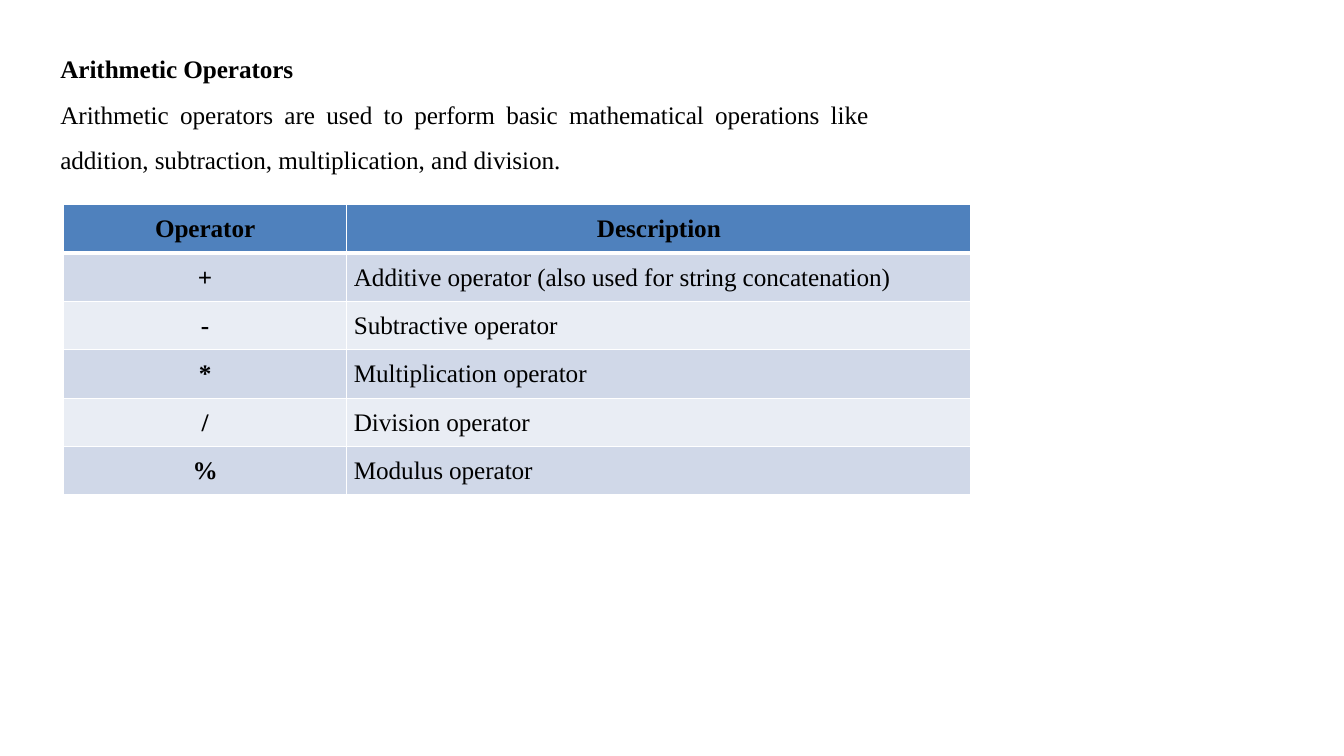
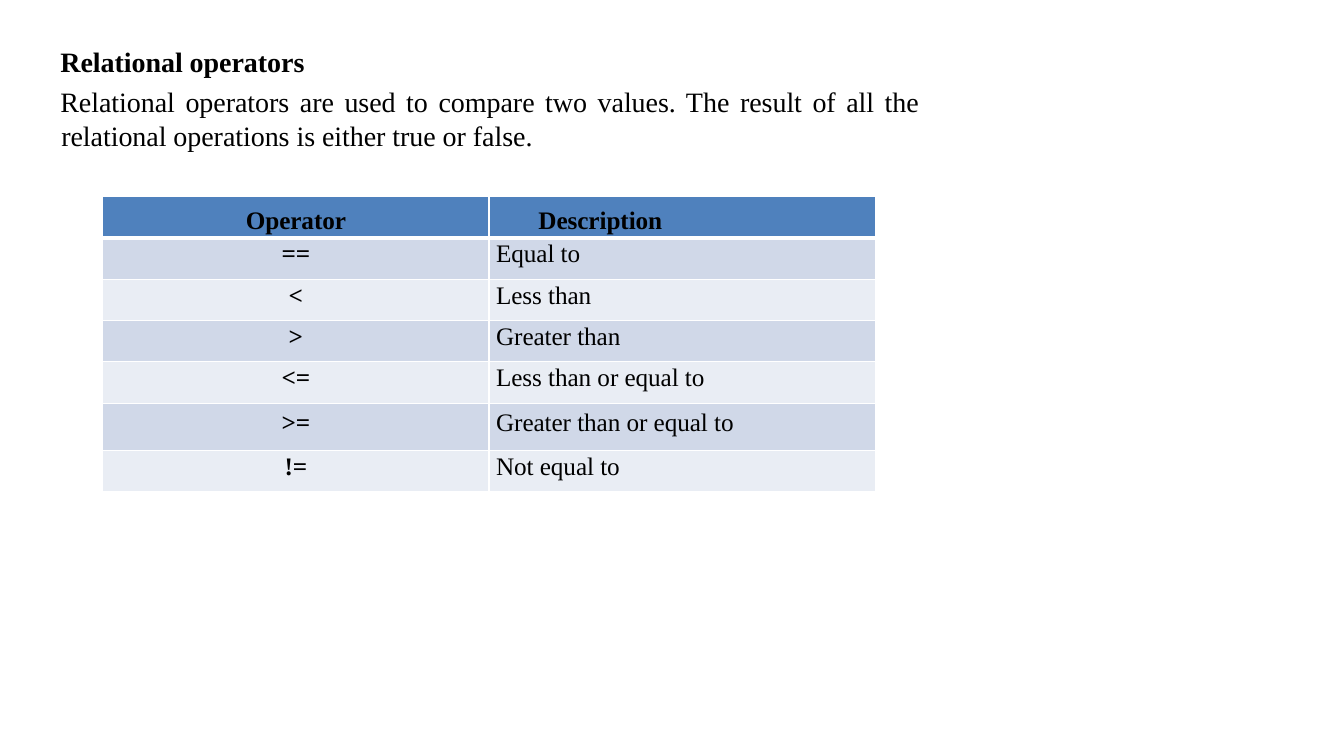
from dataclasses import dataclass

from lxml import etree
from pptx import Presentation
from pptx.dml.color import RGBColor
from pptx.enum import text
from pptx.oxml import ns
from pptx.util import Inches, Pt


@dataclass(frozen=True)
class Theme:
    font: str = "Times New Roman"
    ink: str = "000000"
    header: str = "4F81BD"
    bands: tuple = ("D0D8E8", "E9EDF4")
    border: str = "FFFFFF"
    cell_size: int = 18
    cell_leading: float = 13.8
    tracking: int = -5  # hundredths of a point
    thin: int = 1
    thick: int = 3


THEME = Theme()
CENTER, LEFT, JUSTIFY = (text.PP_ALIGN.CENTER, text.PP_ALIGN.LEFT,
                         text.PP_ALIGN.JUSTIFY)
HEADINGS = ("Operator", "Description")

SLIDES = [
    dict(
        title="Arithmetic Operators",
        body="Arithmetic operators are used to perform basic mathematical "
             "operations like addition, subtraction, multiplication, and division.",
        intro=dict(at=(0.5, 0.38, 8.21, 1.4), size=18, leading=32.5, gap=0, hang=0),
        operators=[
            ("+", "Additive operator (also used for string concatenation)"),
            ("-", "Subtractive operator"),
            ("*", "Multiplication operator"),
            ("/", "Division operator"),
            ("%", "Modulus operator"),
        ],
        table=dict(at=(0.63, 2.03), cols=(2.81, 6.19), rows=[0.48] * 6,
                   drop=0.19, heading_indent=None),
    ),
    dict(
        title="Relational operators",
        body="Relational operators are used to compare two values. The result "
             "of all the relational operations is either true or false.",
        intro=dict(at=(0.5, 0.44, 8.71, 1.1), size=20, leading=24.3, gap=4, hang=0.01),
        operators=[
            ("==", "Equal to"),
            ("<", "Less than"),
            (">", "Greater than"),
            ("<=", "Less than or equal to"),
            (">=", "Greater than or equal to"),
            ("!=", "Not equal to"),
        ],
        table=dict(at=(1.02, 1.95), cols=(3.83, 3.83),
                   rows=[0.41] * 5 + [0.47, 0.41],
                   drop=None, heading_indent=0.49),
    ),
]


def write(p, words, size, leading, align, bold=False, indent=0, hang=0):
    p.alignment = align
    p.line_spacing = Pt(leading)
    pPr = p._p.get_or_add_pPr()
    pPr.set("marL", str(Inches(indent)))
    pPr.set("indent", str(-Inches(hang)))
    r = p.add_run()
    r.text = words
    r.font.name = THEME.font
    r.font.size = Pt(size)
    r.font.bold = bold
    r.font.color.rgb = RGBColor.from_string(THEME.ink)
    r._r.get_or_add_rPr().set("spc", str(THEME.tracking))


def add_intro(s, title, body, at, size, leading, gap, hang):
    tf = s.shapes.add_textbox(*map(Inches, at)).text_frame
    tf.word_wrap = True
    tf.margin_top = tf.margin_bottom = 0
    write(tf.paragraphs[0], title, size, leading, LEFT, bold=True)
    p = tf.add_paragraph()
    p.space_before = Pt(gap)
    write(p, body, size, leading, JUSTIFY, indent=hang, hang=hang)


def set_borders(cell, top, bottom):
    tcPr = cell._tc.get_or_add_tcPr()
    widths = dict(lnL=THEME.thin, lnR=THEME.thin, lnT=top, lnB=bottom)
    for i, (side, width) in enumerate(widths.items()):
        ln = etree.Element(ns.qn("a:" + side), w=str(Pt(width)))
        fill = etree.SubElement(ln, ns.qn("a:solidFill"))
        etree.SubElement(fill, ns.qn("a:srgbClr"), val=THEME.border)
        tcPr.insert(i, ln)


def add_operator_table(s, operators, at, cols, rows, drop, heading_indent):
    """drop is the space above the text of body cells; None centres them."""
    content = [HEADINGS, *operators]
    size = (sum(cols), sum(rows))
    table = s.shapes.add_table(len(rows), len(cols), *map(Inches, at + size)).table
    for column, width in zip(table.columns, cols):
        column.width = Inches(width)
    for i, (height, words) in enumerate(zip(rows, content)):
        table.rows[i].height = Inches(height)
        is_header = i == 0
        color = THEME.header if is_header else THEME.bands[(i - 1) % 2]
        for j, value in enumerate(words):
            cell = table.cell(i, j)
            cell.fill.solid()
            cell.fill.fore_color.rgb = RGBColor.from_string(color)
            set_borders(cell, THEME.thick if i == 1 else THEME.thin,
                        THEME.thick if is_header else THEME.thin)
            cell.margin_left = cell.margin_right = cell.margin_bottom = 0
            centred = drop is None and not is_header
            cell.margin_top = 0 if centred else Inches(drop or 0.19)
            cell.vertical_anchor = (text.MSO_ANCHOR.MIDDLE if centred
                                    else text.MSO_ANCHOR.TOP)
            indent = 0 if j == 0 else heading_indent if is_header else 0.07
            write(cell.text_frame.paragraphs[0], value, THEME.cell_size,
                  THEME.cell_leading, LEFT if indent else CENTER,
                  bold=is_header or j == 0, indent=indent or 0)


def main():
    prs = Presentation()
    prs.slide_width, prs.slide_height = Inches(13.33), Inches(7.5)
    for page in SLIDES:
        s = prs.slides.add_slide(prs.slide_layouts[6])
        add_intro(s, page["title"], page["body"], **page["intro"])
        add_operator_table(s, page["operators"], **page["table"])
    prs.save("out.pptx")


if __name__ == "__main__":
    main()
